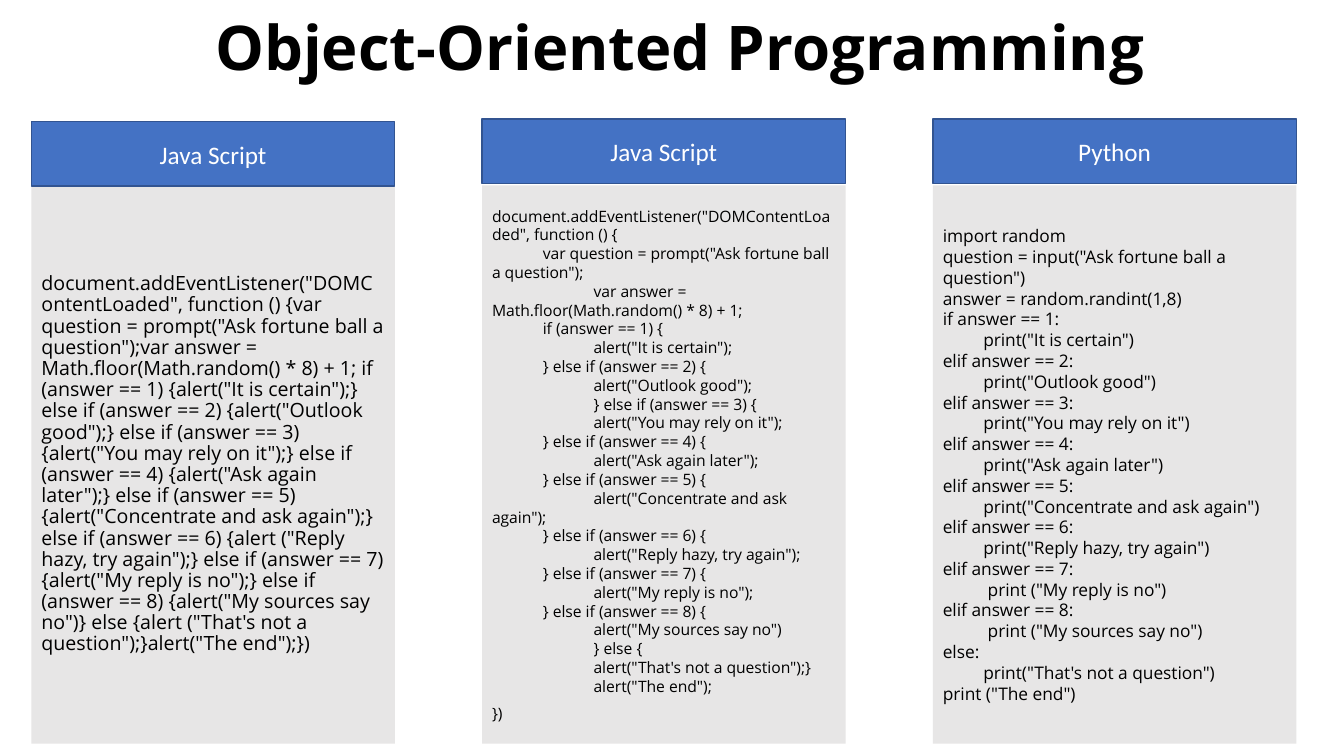
from pptx import Presentation
from pptx import util as u
from pptx.dml.color import RGBColor
from pptx.enum import shapes, text
from pptx.oxml.ns import qn
from lxml import etree

COLORS = {
    "header": "4472C4",
    "border": "325491",
    "panel": "E7E6E6",
    "code": "000000",
    "label": "FFFFFF",
}
CODE_FONT = "Open Sans"
LABEL_FONT = "Calibri"
COLUMN_LEFT = 0.79
COLUMN_STEP = 11.36
COLUMN_WIDTH = 9.16
PANEL_TOP = 4.67
PANEL_HEIGHT = 14.07
HEADER_HEIGHT = 1.62
HEADERS = [("Java Script", 3.07), ("Java Script", 3.0), ("Python", 3.0)]

COMPACT_SCRIPT = (
    'document.addEventListener("DOMContentLoaded", function () {'
    'var question = prompt("Ask fortune ball a question");'
    'var answer = Math.floor(Math.random() * 8) + 1; '
    'if (answer == 1) {alert("It is certain");} '
    'else if (answer == 2) {alert("Outlook good");} '
    'else if (answer == 3) {alert("You may rely on it");} '
    'else if (answer == 4) {alert("Ask again later");} '
    'else if (answer == 5) {alert("Concentrate and ask again");} '
    'else if (answer == 6) {alert ("Reply hazy, try again");} '
    'else if (answer == 7) {alert("My reply is no");} '
    'else if (answer == 8) {alert("My sources say no")} '
    'else {alert ("That\'s not a question");}alert("The end");})'
)
INDENTED_SCRIPT = [
    'document.addEventListener("DOMContentLoaded", function () {',
    '\tvar question = prompt("Ask fortune ball a question");',
    '\t\tvar answer = Math.floor(Math.random() * 8) + 1;',
    '\tif (answer == 1) {',
    '\t\talert("It is certain");',
    '\t} else if (answer == 2) {',
    '\t\talert("Outlook good");',
    '\t\t} else if (answer == 3) {',
    '\t\talert("You may rely on it");',
    '\t} else if (answer == 4) {',
    '\t\talert("Ask again later");',
    '\t} else if (answer == 5) {',
    '\t\talert("Concentrate and ask again");',
    '\t} else if (answer == 6) {',
    '\t\talert("Reply hazy, try again");',
    '\t} else if (answer == 7) {',
    '\t\talert("My reply is no");',
    '\t} else if (answer == 8) {',
    '\t\talert("My sources say no")',
    '\t\t} else {',
    '\t\talert("That\'s not a question");}',
    '\t\talert("The end");',
    '})',
]
PYTHON_SCRIPT = [
    'import random',
    'question = input("Ask fortune ball a question")',
    'answer = random.randint(1,8)',
    'if answer == 1:',
    '\tprint("It is certain")',
    'elif answer == 2:',
    '\tprint("Outlook good")',
    'elif answer == 3:',
    '\tprint("You may rely on it")',
    'elif answer == 4:',
    '\tprint("Ask again later")',
    'elif answer == 5:',
    '\tprint("Concentrate and ask again")',
    'elif answer == 6:',
    '\tprint("Reply hazy, try again")',
    'elif answer == 7:',
    '\t print ("My reply is no")',
    'elif answer == 8:',
    '\t print ("My sources say no")',
    'else:',
    '\tprint("That\'s not a question")',
    'print ("The end")',
]


def color(name):
    return RGBColor.from_string(COLORS[name])


def place(shape, left, top, width, height):
    shape.left, shape.top = u.Cm(left), u.Cm(top)
    shape.width, shape.height = u.Cm(width), u.Cm(height)


def column_left(column):
    return COLUMN_LEFT + column * COLUMN_STEP


def prepare_frame(shape):
    frame = shape.text_frame
    frame.word_wrap = True
    frame.auto_size = text.MSO_AUTO_SIZE.NONE
    frame.vertical_anchor = text.MSO_ANCHOR.MIDDLE
    return frame


def set_font(para, name, size, color_name, bold=False):
    para.font.name = name
    para.font.size = u.Pt(size)
    para.font.bold = bold
    para.font.color.rgb = color(color_name)


def set_indent(para, indent):
    properties = para._p.get_or_add_pPr()
    properties.set("marL", "0")
    properties.set("indent", str(u.Cm(indent)))
    return properties


def add_rectangle(page, column, top, height, fill):
    box = page.shapes.add_shape(
        shapes.MSO_SHAPE.RECTANGLE, u.Cm(column_left(column)), u.Cm(top),
        u.Cm(COLUMN_WIDTH), u.Cm(height))
    box.shadow.inherit = False
    box.fill.solid()
    box.fill.fore_color.rgb = color(fill)
    box.line.fill.background()
    return box


def fill_title(page):
    title = page.shapes.title
    place(title, 2.34, 0.3, 29.21, 1.93)
    para = prepare_frame(title).paragraphs[0]
    para.text = " Object-Oriented Programming"
    para.alignment = text.PP_ALIGN.CENTER
    para.line_spacing = 0.9
    set_font(para, CODE_FONT, 44, "code", bold=True)


def fill_body(page):
    body = page.placeholders[1]
    place(body, column_left(0), PANEL_TOP, COLUMN_WIDTH, PANEL_HEIGHT)
    body.fill.solid()
    body.fill.fore_color.rgb = color("panel")
    para = prepare_frame(body).paragraphs[0]
    para.text = COMPACT_SCRIPT
    para.line_spacing = 0.9
    para.space_before = u.Pt(10)
    set_font(para, CODE_FONT, 14, "code")
    properties = set_indent(para, 0)
    bullet = etree.Element(qn("a:buNone"))
    properties.find(qn("a:defRPr")).addprevious(bullet)


def add_code_panel(page, column, lines, size, indent):
    panel = add_rectangle(page, column, PANEL_TOP, PANEL_HEIGHT, "panel")
    frame = prepare_frame(panel)
    for number, line in enumerate(lines):
        para = frame.add_paragraph() if number else frame.paragraphs[0]
        code = line.lstrip("\t")
        level = len(line) - len(code)
        para.text = code
        para.alignment = text.PP_ALIGN.LEFT
        set_font(para, CODE_FONT, size, "code")
        set_indent(para, level * indent)
    return frame


def add_header(page, column, label, top):
    header = add_rectangle(page, column, top, HEADER_HEIGHT, "header")
    header.line.color.rgb = color("border")
    header.line.width = u.Pt(1)
    para = prepare_frame(header).paragraphs[0]
    para.text = label
    para.alignment = text.PP_ALIGN.CENTER
    set_font(para, LABEL_FONT, 18, "label")


def main():
    deck = Presentation()
    deck.slide_width, deck.slide_height = u.Cm(33.87), u.Cm(19.05)
    page = deck.slides.add_slide(deck.slide_layouts[1])
    fill_title(page)
    fill_body(page)
    frame = add_code_panel(page, 1, INDENTED_SCRIPT, 11.2, 1.28)
    closing = frame.paragraphs[-1]
    closing.line_spacing = 0.7
    closing.space_before = u.Pt(10)
    add_code_panel(page, 2, PYTHON_SCRIPT, 12.4, 1.02)
    for column, (label, top) in enumerate(HEADERS):
        add_header(page, column, label, top)
    deck.save("out.pptx")


main()
